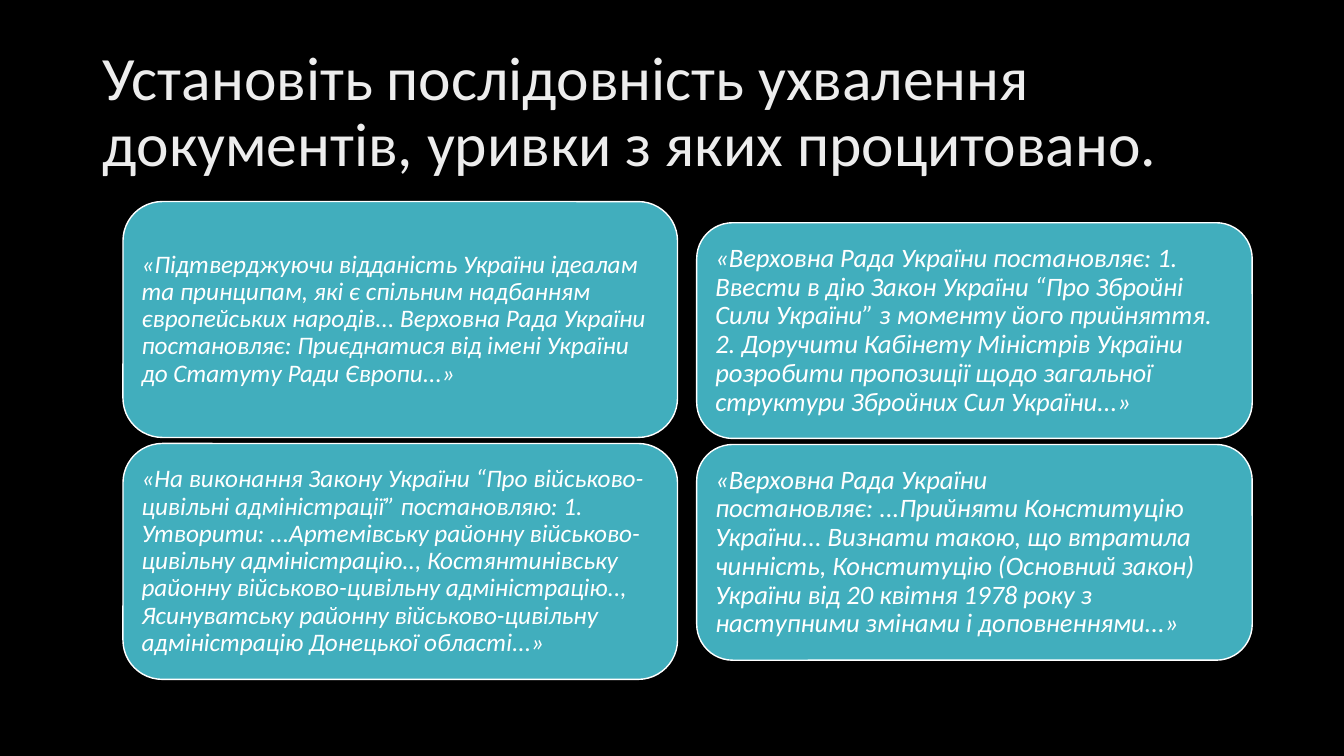
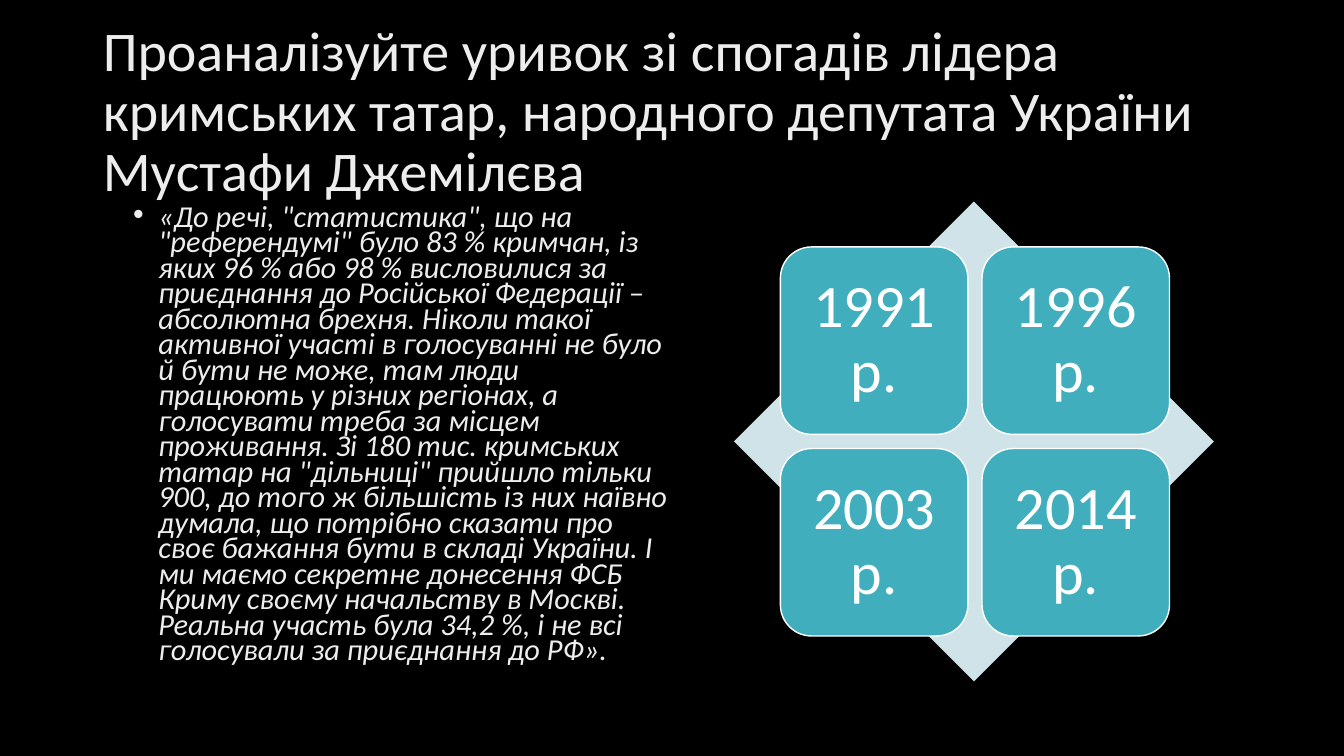
from pptx import Presentation
from pptx.dml.color import RGBColor
from pptx.enum import shapes, text
from pptx.util import Inches, Pt

# Content
SEQUENCE_TITLE = "Установіть послідовність ухвалення документів, уривки з яких процитовано."
MEMOIR_TITLE = ("Проаналізуйте уривок зі спогадів лідера кримських татар, "
                "народного депутата України Мустафи Джемілєва")
LEFT_EXCERPTS = [
    "«Підтверджуючи відданість України ідеалам та принципам, які є спільним "
    "надбанням європейських народів... Верховна Рада України постановляє: "
    "Приєднатися від імені України до Статуту Ради Європи...»",
    "«На виконання Закону України “Про військово-цивільні адміністрації” "
    "постановляю: 1. Утворити: ...Артемівську районну військово-цивільну "
    "адміністрацію.., Костянтинівську районну військово-цивільну адміністрацію.., "
    "Ясинуватську районну військово-цивільну адміністрацію Донецької області...»",
]
RIGHT_EXCERPTS = [
    "«Верховна Рада України постановляє: 1. Ввести в дію Закон України “Про "
    "Збройні Сили України” з моменту його прийняття. 2. Доручити Кабінету "
    "Міністрів України розробити пропозиції щодо загальної структури Збройних "
    "Сил України...»",
    "«Верховна Рада України постановляє: ...Прийняти Конституцію України... "
    "Визнати такою, що втратила чинність, Конституцію (Основний закон) України "
    "від 20 квітня 1978 року з наступними змінами і доповненнями...»",
]
MEMOIR = (
    "«До речі, \"статистика\", що на \"референдумі\" було 83 % кримчан, із яких 96 % "
    "або 98 % висловилися за приєднання до Російської Федерації – абсолютна брехня. "
    "Ніколи такої активної участі в голосуванні не було й бути не може, там люди "
    "працюють у різних регіонах, а голосувати треба за місцем проживання. Зі 180 тис. "
    "кримських татар на \"дільниці\" прийшло тільки 900, до того ж більшість із них "
    "наївно думала, що потрібно сказати про своє бажання бути в складі України. І ми "
    "маємо секретне донесення ФСБ Криму своєму начальству в Москві. Реальна участь "
    "була 34,2 %, і не всі голосували за приєднання до РФ»."
)
YEARS = ["1991 р.", "1996 р.", "2003 р.", "2014 р."]

# Shared style
FONT = "Calibri"
COLORS = {"back": "000000", "light": "EDEDED", "white": "FFFFFF",
          "card": "41AEBD", "diamond": "CFE3E8"}


def color(name):
    return RGBColor.from_string(COLORS[name])


def write(frame, words, size, ink, spacing=0.9, italic=False,
          align=text.PP_ALIGN.LEFT, anchor=text.MSO_ANCHOR.MIDDLE):
    frame.word_wrap = True
    frame.auto_size = text.MSO_AUTO_SIZE.NONE
    frame.vertical_anchor = anchor
    para = frame.paragraphs[0]
    para.alignment = align
    para.line_spacing = spacing
    para.space_before = Pt(0)
    span = para.add_run()
    span.text = words
    span.font.name = FONT
    span.font.size = Pt(size)
    span.font.italic = italic
    span.font.color.rgb = color(ink)
    return para


def place(shape, left, top, width, height):
    shape.left, shape.top = Inches(left), Inches(top)
    shape.width, shape.height = Inches(width), Inches(height)


def add_page(deck, layout, title, size):
    page = deck.slides.add_slide(deck.slide_layouts[layout])
    place(page.shapes.title, 0.92, 0.4, 11.5, 1.45)
    write(page.shapes.title.text_frame, title, size, "light")
    return page


def add_figure(page, kind, fill, left, top, width, height):
    figure = page.shapes.add_shape(kind, Inches(left), Inches(top),
                                   Inches(width), Inches(height))
    figure.shadow.inherit = False
    figure.fill.solid()
    figure.fill.fore_color.rgb = color(fill)
    figure.line.fill.background()
    return figure


def add_card(page, box, words, size, inset, **style):
    card = add_figure(page, shapes.MSO_SHAPE.ROUNDED_RECTANGLE, "card", *box)
    card.line.color.rgb = color("white")
    card.line.width = Pt(1)
    frame = card.text_frame
    frame.margin_left = frame.margin_right = Inches(inset)
    frame.margin_top = frame.margin_bottom = Inches(inset)
    write(frame, words, size, "white", **style)


def build_sequence(deck):
    page = add_page(deck, 5, SEQUENCE_TITLE, 44)
    # Each column: excerpts, left, top, width, height, pitch, text size, inset
    columns = [
        (LEFT_EXCERPTS, 1.22, 2, 5.5, 2.34, 2.4, 18, 0.07),
        (RIGHT_EXCERPTS, 6.91, 2.21, 5.51, 2.14, 2.2, 19, 0.08),
    ]
    for excerpts, left, top, width, height, pitch, size, inset in columns:
        for row, words in enumerate(excerpts):
            box = (left, top + row * pitch, width, height)
            add_card(page, box, words, size, inset, italic=True)


def build_memoir(deck):
    page = add_page(deck, 1, MEMOIR_TITLE, 40)
    body = page.placeholders[1]
    place(body, 1.22, 2, 5.5, 4.76)
    para = write(body.text_frame, MEMOIR, 21.7, "light", spacing=0.7,
                 italic=True, anchor=text.MSO_ANCHOR.TOP)
    # Hanging indent for the bullet
    properties = para._p.get_or_add_pPr()
    properties.set("marL", str(Inches(0.25)))
    properties.set("indent", str(-Inches(0.25)))
    para.font.color.rgb = color("light")

    # Years in a two by two grid over the diamond
    add_figure(page, shapes.MSO_SHAPE.DIAMOND, "diamond", 7.28, 2, 4.76, 4.76)
    side, pitch = 1.86, 2
    for index, year in enumerate(YEARS):
        row, column = divmod(index, 2)
        box = (7.74 + column * pitch, 2.45 + row * pitch, side, side)
        add_card(page, box, year, 43, 0.18, align=text.PP_ALIGN.CENTER)


def main():
    deck = Presentation()
    deck.slide_width, deck.slide_height = Inches(13.33), Inches(7.5)
    backdrop = deck.slide_master.background.fill
    backdrop.solid()
    backdrop.fore_color.rgb = color("back")
    build_sequence(deck)
    build_memoir(deck)
    deck.save("out.pptx")


if __name__ == "__main__":
    main()
